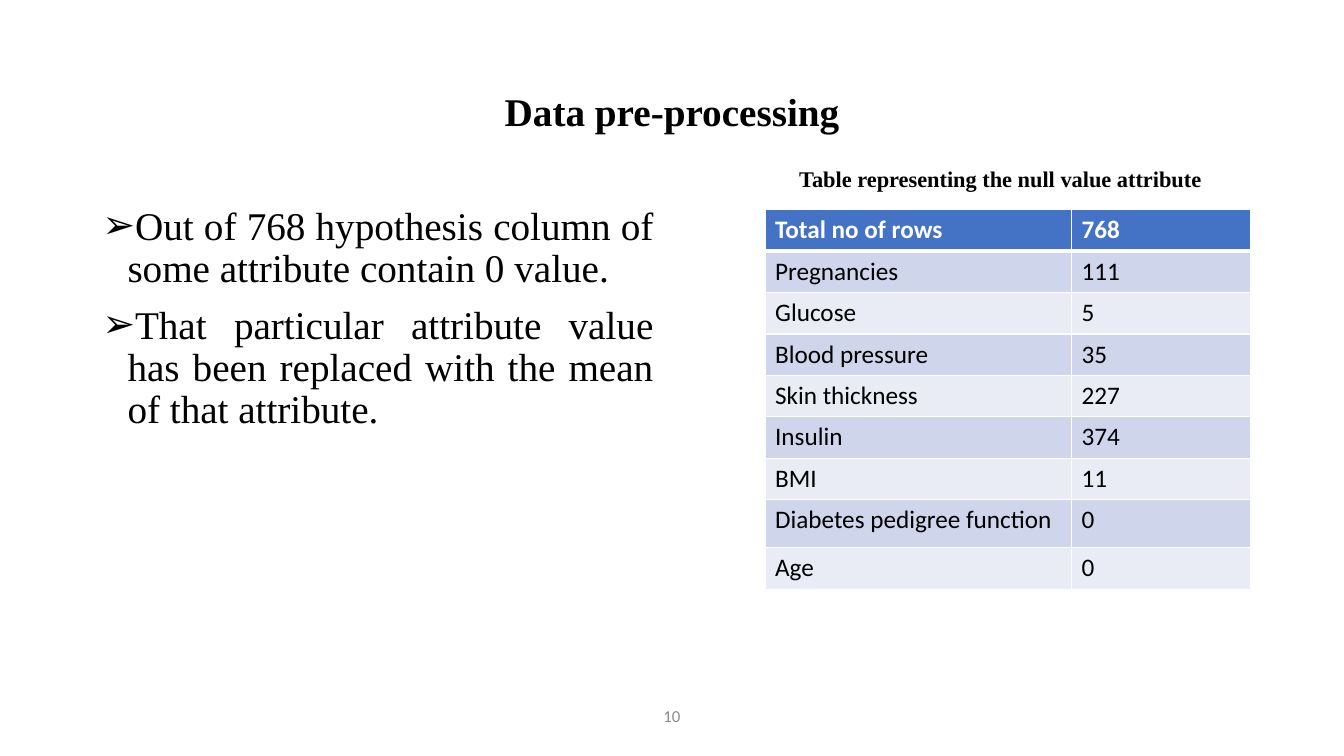
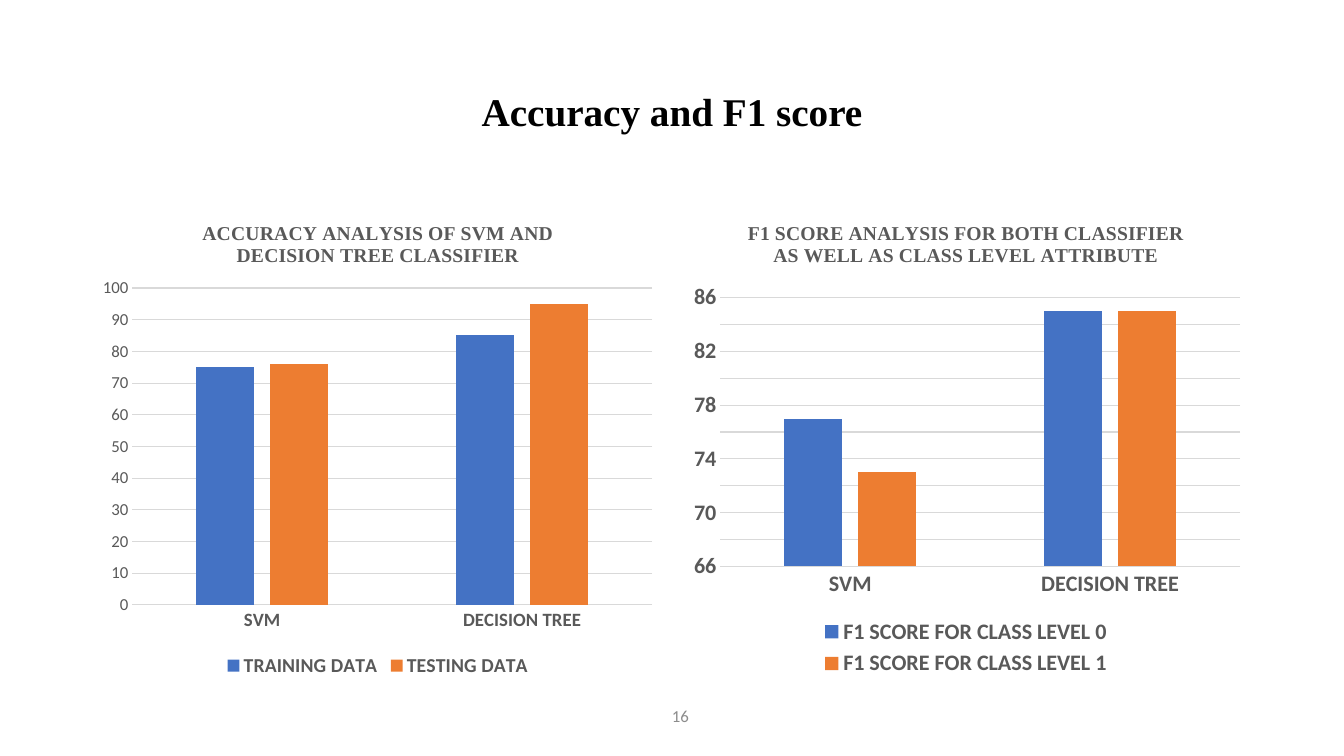
from lxml import etree
from pptx import Presentation
from pptx.chart.data import CategoryChartData
from pptx.dml.color import RGBColor
from pptx.enum.chart import XL_CHART_TYPE, XL_LEGEND_POSITION, XL_TICK_MARK
from pptx.enum.text import MSO_ANCHOR, PP_ALIGN
from pptx.oxml import parse_xml
from pptx.oxml.ns import nsdecls, qn
from pptx.util import Pt

LEFT, CENTER, JUSTIFY = PP_ALIGN.LEFT, PP_ALIGN.CENTER, PP_ALIGN.JUSTIFY
TOP, MIDDLE = MSO_ANCHOR.TOP, MSO_ANCHOR.MIDDLE
COLUMNS, BOTTOM = XL_CHART_TYPE.COLUMN_CLUSTERED, XL_LEGEND_POSITION.BOTTOM
NO_TICK = XL_TICK_MARK.NONE

# Content
BULLETS = [
    "Out of 768 hypothesis column of some attribute contain 0 value.",
    "That particular attribute value has been replaced with the mean of that attribute.",
]
TABLE_CAPTION = "Table representing the null value attribute"
NULL_ROWS = [
    ("Total no of rows", "768"),
    ("Pregnancies", "111"),
    ("Glucose", "5"),
    ("Blood pressure", "35"),
    ("Skin thickness", "227"),
    ("Insulin", "374"),
    ("BMI", "11"),
    ("Diabetes pedigree function", "0"),
    ("Age", "0"),
]
CLASSIFIERS = ["SVM", "DECISION TREE"]
CHARTS = [
    dict(title="ACCURACY ANALYSIS OF SVM AND DECISION TREE CLASSIFIER",
         series=[("TRAINING DATA", (75, 85)), ("TESTING DATA", (76, 95))],
         scale=(0, 100, 10), plot=(0.07, 0.18, 0.91, 0.66),
         cat_size=13.4, val_size=12, val_bold=False, legend_size=14.1),
    dict(title="F1 SCORE ANALYSIS FOR BOTH CLASSIFIER AS WELL AS CLASS LEVEL ATTRIBUTE",
         series=[("F1 SCORE FOR CLASS LEVEL 0", (77, 85)),
                 ("F1 SCORE FOR CLASS LEVEL 1", (73, 85))],
         scale=(66, 86, 2), plot=(0.07, 0.2, 0.91, 0.56),
         cat_size=15.8, val_size=15.8, val_bold=True, legend_size=15.8),
]

# Shared style
SERIF, SANS = "Times New Roman", "Calibri"
BLACK, WHITE, GRAY, NUMBER_GRAY, RULE = "000000", "FFFFFF", "595959", "8C8C8C", "D9D9D9"
BLUE, ORANGE = "4472C4", "ED7D31"
BANDS = ["E9EBF5", "CFD5EA"]
SLIDE_W, SLIDE_H = 960, 540
MARGIN, BODY_TOP, BODY_W, BODY_H = 66, 144, 408, 343
COLUMN_STEP = 420


def rgb(value):
    return RGBColor.from_string(value)


def style_font(font, size, color, name=SANS, bold=False):
    font.size, font.name, font.bold = Pt(size), name, bold
    font.color.rgb = rgb(color)


def write(tf, text, size=18, color=BLACK, name=SANS, bold=False, align=LEFT,
          anchor=TOP, line=None, before=None, bullet=None):
    """Fill a text frame with one paragraph per line of text."""
    tf.word_wrap, tf.vertical_anchor = True, anchor
    for i, content in enumerate(text.split("\n")):
        p = tf.paragraphs[0] if i == 0 else tf.add_paragraph()
        p.alignment = align
        if line is not None:
            p.line_spacing = line
        if before is not None:
            p.space_before = Pt(before)
        if bullet:
            pPr = p._p.get_or_add_pPr()
            pPr.set("marL", str(Pt(18)))
            pPr.set("indent", str(-Pt(18)))
            etree.SubElement(pPr, qn("a:buFont")).set("typeface", "Arial")
            etree.SubElement(pPr, qn("a:buChar")).set("char", bullet)
        r = p.add_run()
        r.text = content
        style_font(r.font, size, color, name, bold)


def add_text(s, box, text, **fmt):
    sp = s.shapes.add_textbox(*map(Pt, box))
    write(sp.text_frame, text, **fmt)


def add_slide(prs, title, number, number_center):
    s = prs.slides.add_slide(prs.slide_layouts[5])
    sp = s.shapes.title
    sp.left, sp.top, sp.width, sp.height = map(Pt, (MARGIN, 29, 828, 104))
    write(sp.text_frame, title, size=28, name=SERIF, bold=True,
          align=CENTER, anchor=MIDDLE, line=0.9)
    add_text(s, (number_center - 108, 497, 216, 29), number, size=12,
             color=NUMBER_GRAY, align=CENTER, anchor=MIDDLE)
    return s


def set_borders(cell, top, bottom):
    tcPr = cell._tc.get_or_add_tcPr()
    for side, width in (("L", 1), ("R", 1), ("T", top), ("B", bottom)):
        tcPr.append(parse_xml(
            f'<a:ln{side} {nsdecls("a")} w="{Pt(width)}"><a:solidFill>'
            f'<a:srgbClr val="{WHITE}"/></a:solidFill></a:ln{side}>'))


def add_null_table(s, left, top, widths, heights):
    frame = s.shapes.add_table(len(NULL_ROWS), len(widths), Pt(left), Pt(top),
                               Pt(sum(widths)), Pt(sum(heights)))
    table = frame.table
    for column, width in zip(table.columns, widths):
        column.width = Pt(width)
    for i, values in enumerate(NULL_ROWS):
        table.rows[i].height = Pt(heights[i])
        header = i == 0
        for j, value in enumerate(values):
            cell = table.cell(i, j)
            set_borders(cell, top=3 if i == 1 else 1, bottom=3 if header else 1)
            cell.fill.solid()
            cell.fill.fore_color.rgb = rgb(BLUE if header else BANDS[i % 2])
            write(cell.text_frame, value, color=WHITE if header else BLACK, bold=header)


def place_plot(chart, box):
    """Fix the inner plot area as fractions of the chart."""
    plot_area = chart._chartSpace.chart.plotArea
    for old in plot_area.findall(qn("c:layout")):
        plot_area.remove(old)
    values = "".join(f'<c:{key} val="{v}"/>' for key, v in zip("xywh", box))
    plot_area.insert(0, parse_xml(
        f'<c:layout {nsdecls("c")}><c:manualLayout><c:layoutTarget val="inner"/>'
        f'<c:xMode val="edge"/><c:yMode val="edge"/>{values}'
        '</c:manualLayout></c:layout>'))


def add_column_chart(s, left, item):
    data = CategoryChartData()
    data.categories = CLASSIFIERS
    for name, values in item["series"]:
        data.add_series(name, values)
    chart = s.shapes.add_chart(COLUMNS, Pt(left), Pt(BODY_TOP), Pt(BODY_W),
                               Pt(BODY_H), data).chart
    style_font(chart.font, 10, BLACK)
    write(chart.chart_title.text_frame, item["title"], size=14, color=GRAY,
          name=SERIF, bold=True, align=CENTER)

    # Columns
    plot = chart.plots[0]
    plot.gap_width, plot.overlap, plot.vary_by_categories = 219, -27, False
    for series, color in zip(plot.series, (BLUE, ORANGE)):
        series.format.fill.solid()
        series.format.fill.fore_color.rgb = rgb(color)

    # Axes
    cat, val = chart.category_axis, chart.value_axis
    val.minimum_scale, val.maximum_scale, val.major_unit = item["scale"]
    cat.major_tick_mark = val.major_tick_mark = NO_TICK
    val.has_major_gridlines = True
    for line in (cat.format.line, val.major_gridlines.format.line):
        line.color.rgb, line.width = rgb(RULE), Pt(0.75)
    val.format.line.fill.background()
    style_font(cat.tick_labels.font, item["cat_size"], GRAY, bold=True)
    style_font(val.tick_labels.font, item["val_size"], GRAY, bold=item["val_bold"])

    # Legend
    chart.has_legend = True
    chart.legend.position, chart.legend.include_in_layout = BOTTOM, False
    style_font(chart.legend.font, item["legend_size"], GRAY, bold=True)
    place_plot(chart, item["plot"])


prs = Presentation()
prs.slide_width, prs.slide_height = Pt(SLIDE_W), Pt(SLIDE_H)

# Data pre-processing: bullets beside the table
s = add_slide(prs, "Data pre-processing", "10", SLIDE_W / 2)
add_text(s, (MARGIN, BODY_TOP, BODY_W, BODY_H), "\n".join(BULLETS), size=28,
         name=SERIF, align=JUSTIFY, line=0.9, before=10, bullet="➢")
row_heights = [34.3 if label.startswith("Diabetes") else 29.6 for label, _ in NULL_ROWS]
add_null_table(s, 546.5, 149.8, (219, 128), row_heights)
add_text(s, (563.8, 114.5, 330.5, 26.6), TABLE_CAPTION, size=16, name=SERIF, bold=True)

# Accuracy and F1 score: two charts side by side
s = add_slide(prs, "Accuracy and F1 score", "16", 486)
for i, item in enumerate(CHARTS):
    add_column_chart(s, MARGIN + i * COLUMN_STEP, item)

prs.save("out.pptx")
